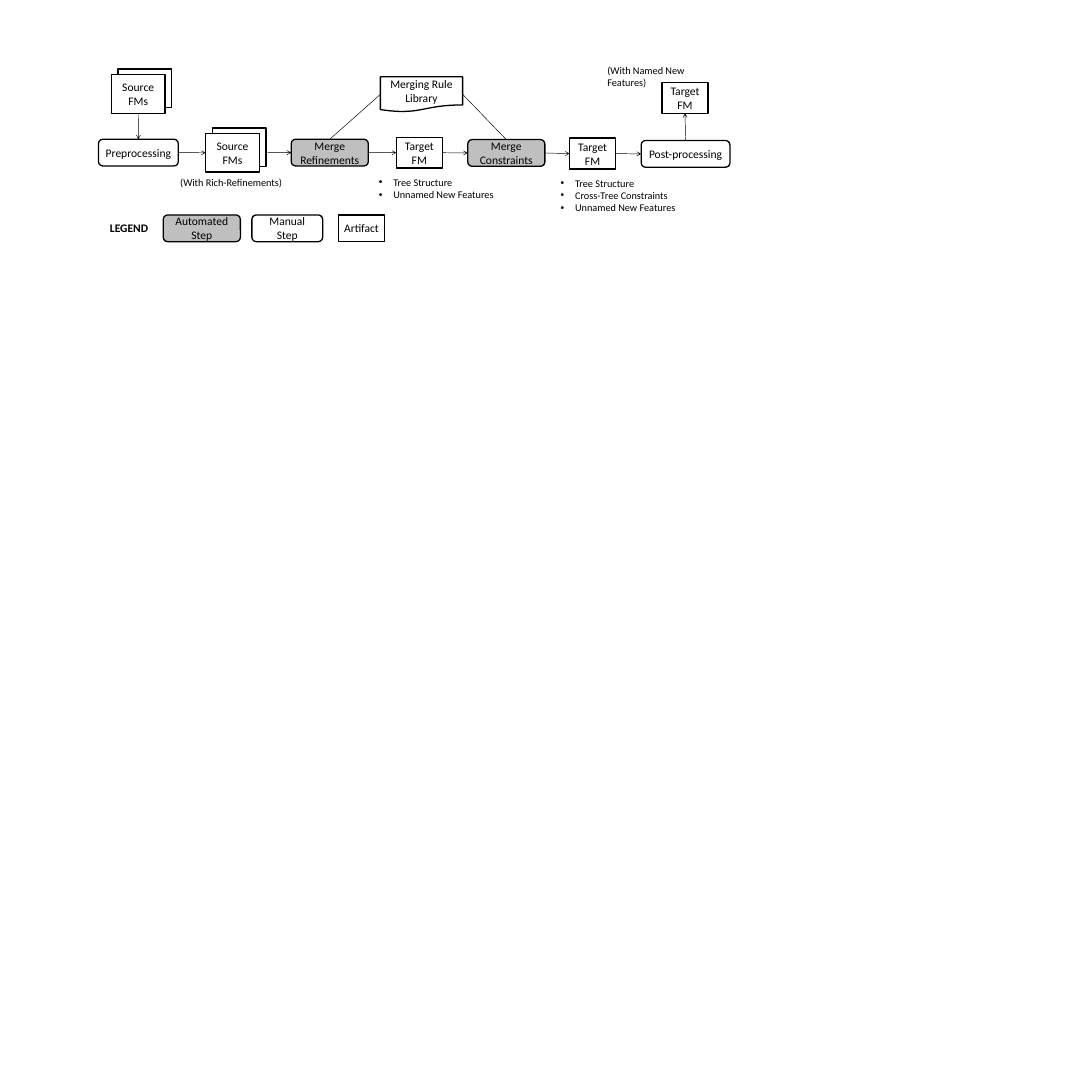
"""Draw the feature model merging process with its legend."""
from pptx import Presentation
from pptx import util as u
from pptx.dml.color import RGBColor
from pptx.enum import shapes, text
from pptx.oxml.ns import qn
from lxml import etree

INK = {"black": "000000", "white": "FFFFFF", "gray": "BFBFBF"}
KIND = shapes.MSO_SHAPE
TOP, LEFT, BOTTOM, RIGHT = range(4)
STEP_H = 1.47
ART_W, ART_H = 2.54, 1.7
FONT = "Calibri"


def color(name):
    return RGBColor.from_string(INK[name])


def style(frame, size, bold=False):
    for para in frame.paragraphs:
        for run in para.runs:
            run.font.name = FONT
            run.font.size = u.Pt(size)
            run.font.bold = bold
            run.font.color.rgb = color("black")


def box(slide, kind, label, x, y, w, h, fill="white"):
    shape = slide.shapes.add_shape(kind, u.Cm(x), u.Cm(y), u.Cm(w), u.Cm(h))
    shape.shadow.inherit = False
    shape.fill.solid()
    shape.fill.fore_color.rgb = color(fill)
    shape.line.color.rgb = color("black")
    shape.line.width = u.Pt(2)
    frame = shape.text_frame
    frame.text = label
    frame.word_wrap = True
    frame.vertical_anchor = text.MSO_ANCHOR.MIDDLE
    frame.paragraphs[0].alignment = text.PP_ALIGN.CENTER
    style(frame, 18)
    return shape


def step(slide, label, x, y, w=4.24, fill="white"):
    return box(slide, KIND.ROUNDED_RECTANGLE, label, x, y, w, STEP_H, fill)


def target(slide, x, y):
    return box(slide, KIND.RECTANGLE, "Target FM", x, y, ART_W, ART_H)


def stack(slide, x, y):
    w, h = 2.95, 2.11
    box(slide, KIND.RECTANGLE, "", x + 0.36, y - 0.31, w, h)
    return box(slide, KIND.RECTANGLE, "Source FMs", x, y, w, h)


def note(slide, lines, x, y, w, h, size=16, bold=False, wrap=True):
    frame = slide.shapes.add_textbox(
        u.Cm(x), u.Cm(y), u.Cm(w), u.Cm(h)).text_frame
    frame.word_wrap = wrap
    frame.auto_size = text.MSO_AUTO_SIZE.SHAPE_TO_FIT_TEXT
    frame.text = "\n".join(lines)
    style(frame, size, bold)
    return frame


def bullets(slide, lines, x, y, w, h):
    for para in note(slide, lines, x, y, w, h).paragraphs:
        props = para._p.get_or_add_pPr()
        props.set("marL", str(u.Cm(0.79)))
        props.set("indent", str(u.Cm(-0.79)))
        etree.SubElement(props, qn("a:buFont")).set("typeface", "Arial")
        etree.SubElement(props, qn("a:buChar")).set("char", "•")


def link(slide, start, side, end, goal, arrow=True):
    line = slide.shapes.add_connector(shapes.MSO_CONNECTOR.STRAIGHT, 0, 0, 0, 0)
    line.begin_connect(start, side)
    line.end_connect(end, goal)
    line.line.color.rgb = color("black")
    line.line.width = u.Pt(0.75)
    if arrow:
        tail = etree.SubElement(line.line._get_or_add_ln(), qn("a:tailEnd"))
        tail.set("type", "arrow")
    etree.SubElement(line._element.spPr, qn("a:effectLst"))
    slide.shapes._spTree.insert(2, line._element)


def flow(slide):
    source = stack(slide, 6.12, 4.11)
    prep = step(slide, "Preprocessing", 5.41, 7.65, 4.39)
    rich = stack(slide, 11.3, 7.34)
    refine = step(slide, "Merge Refinements", 16, 7.65, fill="gray")
    tree = target(slide, 21.77, 7.54)
    limit = step(slide, "Merge Constraints", 25.7, 7.67, fill="gray")
    cross = target(slide, 31.29, 7.59)
    post = step(slide, "Post-processing", 35.23, 7.72, 4.88)
    final = target(slide, 36.37, 4.52)
    rules = box(slide, KIND.FLOWCHART_DOCUMENT, "Merging Rule Library",
                20.9, 4.22, 4.52, 1.93)

    row = [prep, rich, refine, tree, limit, cross, post]
    for start, end in zip(row, row[1:]):
        link(slide, start, RIGHT, end, LEFT)
    link(slide, source, BOTTOM, prep, TOP)
    link(slide, post, TOP, final, BOTTOM)
    link(slide, refine, TOP, rules, LEFT, arrow=False)
    link(slide, rules, RIGHT, limit, TOP, arrow=False)


def notes(slide):
    note(slide, ["(With Rich-Refinements)"], 9.65, 9.55, 6.96, 0.94)
    note(slide, ["(With Named New Features)"], 33.12, 3.38, 6.96, 0.94)
    bullets(slide, ["Tree Structure", "Unnamed New Features"],
            20.57, 9.55, 7.24, 1.63)
    bullets(slide, ["Tree Structure", "Cross-Tree Constraints",
                    "Unnamed New Features"], 30.56, 9.6, 6.96, 2.31)


def legend(slide):
    y = 11.81
    note(slide, ["LEGEND"], 5.79, 12.04, 2.64, 1.02, 18, True, False)
    step(slide, "Automated Step", 8.97, y, fill="gray")
    step(slide, "Manual Step", 13.84, y, 3.89)
    box(slide, KIND.RECTANGLE, "Artifact", 18.59, y, ART_W, STEP_H)


def main():
    deck = Presentation()
    deck.slide_width = deck.slide_height = u.Cm(60)
    slide = deck.slides.add_slide(deck.slide_layouts[6])
    flow(slide)
    notes(slide)
    legend(slide)
    deck.save("out.pptx")


if __name__ == "__main__":
    main()
